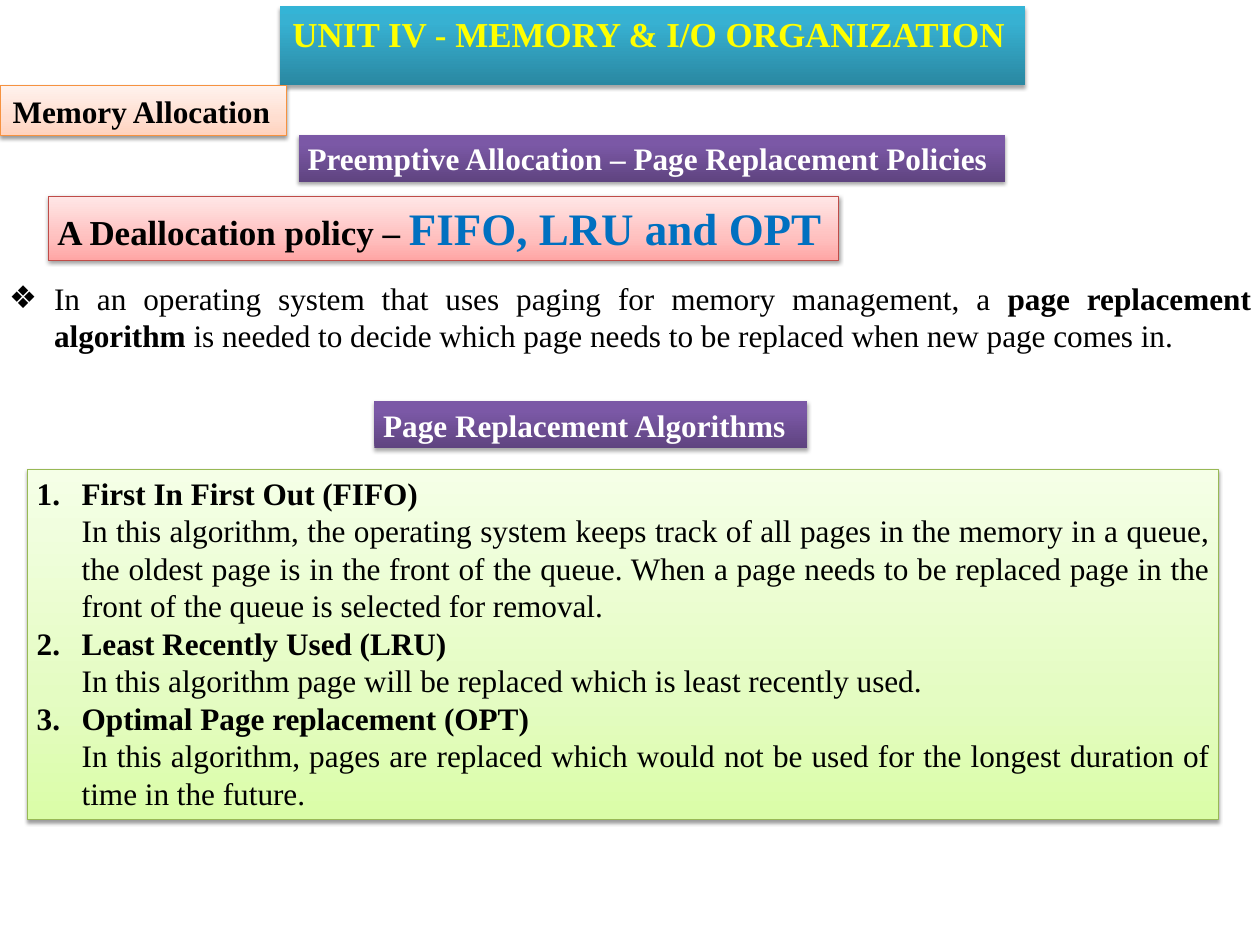
from lxml import etree
from pptx import Presentation
from pptx.dml.color import RGBColor
from pptx.enum.shapes import MSO_SHAPE
from pptx.enum.text import MSO_ANCHOR, MSO_AUTO_SIZE, PP_ALIGN
from pptx.oxml import parse_xml
from pptx.oxml.ns import nsdecls, qn
from pptx.util import Inches, Pt

BLACK = RGBColor(0x00, 0x00, 0x00)
WHITE = RGBColor(0xFF, 0xFF, 0xFF)
YELLOW = RGBColor(0xFF, 0xFF, 0x00)
BLUE = RGBColor(0x00, 0x70, 0xC0)
ORANGE_LINE = RGBColor(0xF6, 0x92, 0x40)
RED_LINE = RGBColor(0xBF, 0x4C, 0x48)
GREEN_LINE = RGBColor(0x98, 0xB9, 0x55)
TEAL = [RGBColor(0x2A, 0x88, 0xA2), RGBColor(0x37, 0xB1, 0xD2), RGBColor(0x34, 0xB4, 0xD6)]
PURPLE = [RGBColor(0x5F, 0x44, 0x80), RGBColor(0x7B, 0x58, 0xA6), RGBColor(0x7C, 0x57, 0xA8)]
ORANGE = [RGBColor(0xFF, 0xD2, 0xBD), RGBColor(0xFF, 0xDE, 0xD0), RGBColor(0xFF, 0xF2, 0xED)]
RED = [RGBColor(0xFF, 0xA6, 0xA5), RGBColor(0xFF, 0xC0, 0xBF), RGBColor(0xFF, 0xE7, 0xE7)]
GREEN = [RGBColor(0xDA, 0xFD, 0xA7), RGBColor(0xE4, 0xFC, 0xC2), RGBColor(0xF5, 0xFF, 0xE7)]
FONT = "Times New Roman"

prs = Presentation()
prs.slide_width, prs.slide_height = Inches(14), Inches(10.5)
COL, ROW = prs.slide_width / 100, prs.slide_height / 100
s = prs.slides.add_slide(prs.slide_layouts[1])


def place(sp, box, wrap, pad=0.1):
    x, y, w, h = box
    sp.left, sp.top, sp.width, sp.height = int(x * COL), int(y * ROW), int(w * COL), int(h * ROW)
    tf = sp.text_frame
    tf.word_wrap = wrap
    tf.auto_size = MSO_AUTO_SIZE.SHAPE_TO_FIT_TEXT
    tf.vertical_anchor = MSO_ANCHOR.TOP
    tf.margin_left = tf.margin_right = Inches(pad)
    tf.margin_top = tf.margin_bottom = Inches(pad / 2)
    return tf


def write(p, runs, align=PP_ALIGN.JUSTIFY, indent=None, bullet=None):
    pPr = p._p.get_or_add_pPr()
    if indent is not None:
        pPr.set("marL", str(Inches(0.5)))
        pPr.set("indent", str(Inches(indent)))
    if bullet:
        tag, attrs = bullet
        etree.SubElement(pPr, qn(tag), attrs)
    p.alignment = align
    p.space_before = Pt(0)
    for text, size, color, bold in runs:
        r = p.add_run()
        r.text = text
        r.font.name, r.font.size, r.font.bold = FONT, Pt(size), bold
        r.font.color.rgb = color


panels = [
    (s.shapes.title, (22.21, 0.67, 59.14, 5.81), TEAL, None, 0.14, PP_ALIGN.JUSTIFY,
     [("UNIT IV - MEMORY & I/O ORGANIZATION", 28, YELLOW, True)]),
    (None, (0, 9.05, 22.71, 5.33), ORANGE, ORANGE_LINE, 0.14, PP_ALIGN.LEFT,
     [("Memory Allocation", 25, BLACK, True)]),
    (None, (23.71, 14.29, 56.07, 4.95), PURPLE, None, 0.1, PP_ALIGN.JUSTIFY,
     [("Preemptive Allocation – Page Replacement Policies", 25, WHITE, True)]),
    (None, (3.86, 20.76, 62.71, 6.76), RED, RED_LINE, 0.1, PP_ALIGN.LEFT,
     [("A Deallocation policy – ", 28, BLACK, True), ("FIFO, LRU and OPT", 36, BLUE, True)]),
    (None, (29.71, 42.48, 34.36, 4.95), PURPLE, None, 0.1, PP_ALIGN.JUSTIFY,
     [("Page Replacement Algorithms", 25, WHITE, True)]),
    (None, (2.21, 49.71, 94.5, 37.05), GREEN, GREEN_LINE, 0.1, PP_ALIGN.JUSTIFY, []),
]
for sp, box, colors, line, pad, align, runs in panels:
    sp = sp or s.shapes.add_shape(MSO_SHAPE.RECTANGLE, 0, 0, 0, 0)
    tf = place(sp, box, not runs, pad)
    sp.fill.gradient()
    sp.fill.gradient_angle = 90
    spPr = sp._element.spPr
    stops = spPr.find(".//" + qn("a:gsLst"))
    stops.clear()
    for pos, color in zip((0, 35 if line else 80, 100), colors):
        stops.append(parse_xml(f'<a:gs {nsdecls("a")} pos="{pos * 1000}"><a:srgbClr val="{color}"/></a:gs>'))
    if line:
        sp.line.color.rgb = line
        sp.line.width = Pt(0.75)
    else:
        sp.line.fill.background()
    sp.shadow.inherit = False
    dist, alpha = (1.6, 38) if line else (1.8, 35)
    spPr.find(qn("a:effectLst")).append(parse_xml(
        f'<a:outerShdw {nsdecls("a")} blurRad="{Pt(3.1)}" dist="{Pt(dist)}" dir="5400000" rotWithShape="0">'
        f'<a:srgbClr val="{BLACK}"><a:alpha val="{alpha * 1000}"/></a:srgbClr></a:outerShdw>'))
    if runs:
        write(tf.paragraphs[0], runs, align)

algorithms = [
    ("First In First Out (FIFO) ",
     "In this algorithm, the operating system keeps track of all pages in the memory in a queue, "
     "the oldest page is in the front of the queue. When a page needs to be replaced page in the "
     "front of the queue is selected for removal."),
    ("Least Recently Used (LRU)",
     "In this algorithm page will be replaced which is least recently used."),
    ("Optimal Page replacement (OPT)",
     "In this algorithm, pages are replaced which would not be used for the longest duration of "
     "time in the future."),
]
for n, (name, detail) in enumerate(algorithms, 1):
    p = tf.paragraphs[0] if n == 1 else tf.add_paragraph()
    write(p, [(name, 25, BLACK, True)], indent=-0.5,
          bullet=("a:buAutoNum", {"type": "arabicPeriod", "startAt": str(n)}))
    write(tf.add_paragraph(), [(detail, 25, BLACK, False)], indent=0)

tf = place(s.placeholders[1], (0, 29.05, 100, 8.95), True)
write(tf.paragraphs[0], [
    ("In an operating system that uses paging for memory management, a ", 25, BLACK, False),
    ("page replacement algorithm ", 25, BLACK, True),
    ("is needed to decide which page needs to be replaced when new page comes in.", 25, BLACK, False),
], indent=-0.5, bullet=("a:buChar", {"char": "❖"}))

prs.save("out.pptx")
